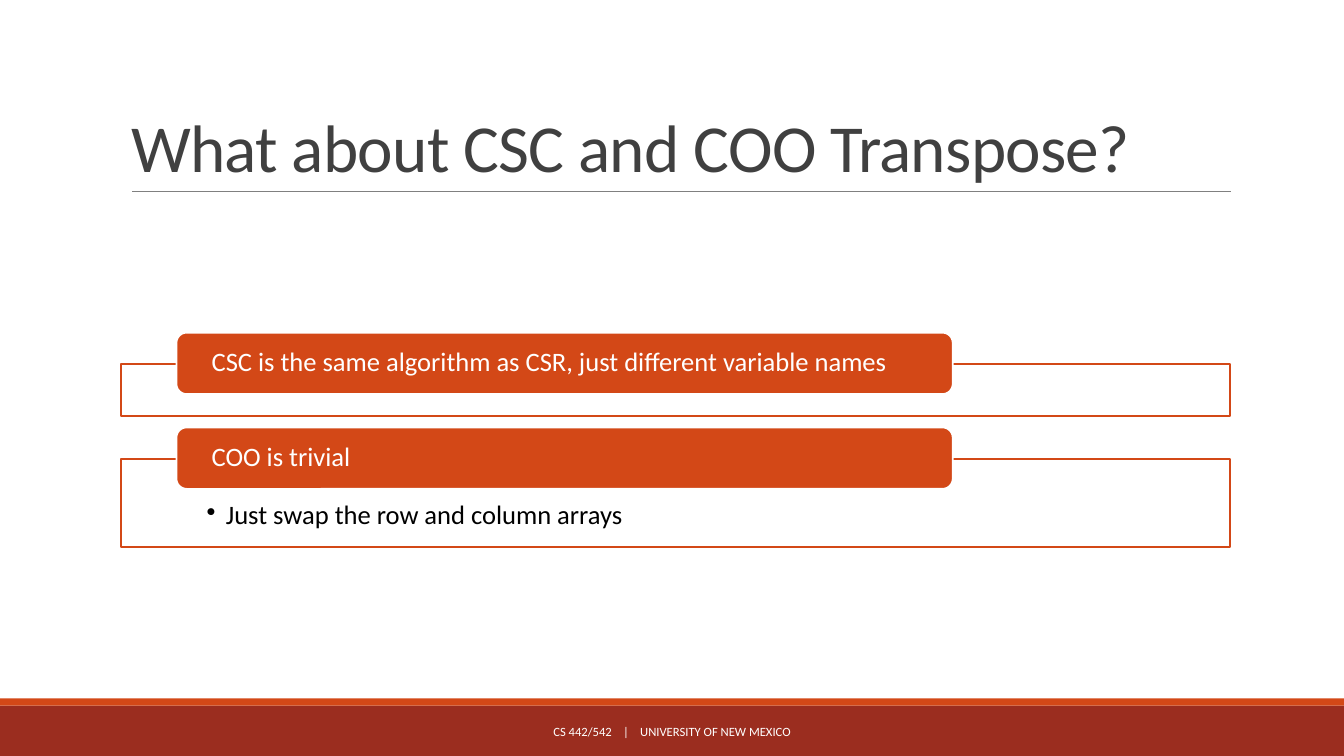
from pptx import Presentation
from pptx import util as u
from pptx.dml.color import RGBColor
from pptx.enum import shapes, text
from pptx.oxml import parse_xml
from pptx.oxml.ns import nsdecls, qn

PX = 9144
HUES = {"rust": "D34817", "brick": "9B2D1F", "rule": "808080",
        "title": "404040", "white": "FFFFFF", "black": "000000"}
ITEMS = [
    ("CSC is the same algorithm as CSR, just different variable names", None, 361, 52),
    ("COO is trivial", "Just swap the row and column arrays", 455, 88),
]


def px(n):
    """Turn px into EMU."""
    return u.Emu(n * PX)


def hue(name):
    """Look up a colour."""
    return RGBColor.from_string(HUES[name])


def block(slide, kind, box, fill, line=None):
    """Draw a filled shape in the box."""
    shape = slide.shapes.add_shape(kind, *map(px, box))
    shape.shadow.inherit = False
    shape.fill.solid()
    shape.fill.fore_color.rgb = hue(fill)
    if line:
        shape.line.color.rgb = hue(line)
        shape.line.width = u.Pt(1.25)
    else:
        shape.line.fill.background()
    return shape


def inset(frame, left, top, right, base, anchor):
    """Set the margins and anchor of a text frame."""
    frame.word_wrap = True
    frame.margin_left, frame.margin_top = px(left), px(top)
    frame.margin_right, frame.margin_bottom = px(right), px(base)
    frame.vertical_anchor = anchor


def style(para, size, color, align=text.PP_ALIGN.LEFT, lead=1.0):
    """Format a paragraph and its runs."""
    para.alignment = align
    para.line_spacing = lead
    for run in para.runs:
        run.font.name = "Calibri"
        run.font.size = u.Pt(size)
        run.font.color.rgb = hue(color)


def track(run, pts):
    """Set the letter spacing of a run."""
    run.font._element.set("spc", str(int(pts * 100)))


def head(slide, box):
    """Place the title and the rule below it."""
    x, y, w, h = box
    title = slide.shapes.title
    title.left, title.top, title.width, title.height = map(px, box)
    frame = title.text_frame
    frame.text = "What about CSC and COO Transpose?"
    frame.auto_size = text.MSO_AUTO_SIZE.NONE
    inset(frame, 10, 5, 10, 5, text.MSO_ANCHOR.BOTTOM)
    style(frame.paragraphs[0], 48, "title", lead=0.85)
    track(frame.paragraphs[0].runs[0], -0.5)
    rule = slide.shapes.add_connector(
        shapes.MSO_CONNECTOR.STRAIGHT, px(x + 11), px(y + h), px(x + w + 1), px(y + h))
    rule.line.color.rgb = hue("rule")
    rule.line.width = u.Pt(0.5)
    rule._element.spPr.append(parse_xml(f"<a:effectLst {nsdecls('a')}/>"))


def foot(slide, box):
    """Draw the two bands and the course line."""
    x, y, w, h = box
    rect = shapes.MSO_SHAPE.RECTANGLE
    block(slide, rect, (x, y + 7, w, h - 7), "brick")
    block(slide, rect, (x, y, w, 7), "rust")
    label = slide.shapes.add_textbox(px(x + 403), px(y + 13), px(527), px(40))
    frame = label.text_frame
    inset(frame, 10, 5, 10, 5, text.MSO_ANCHOR.MIDDLE)
    para = frame.paragraphs[0]
    for part in ("CS 442/542", " |", " UNIVERSITY OF NEW MEXICO"):
        para.add_run().text = part
    style(para, 9, "white", text.PP_ALIGN.CENTER)
    para.space_after = u.Pt(6)
    track(para.runs[1], 6)


def item(slide, box, name, note):
    """Draw a frame, its note and the label on its top edge."""
    x, y, w, h = box
    panel = block(slide, shapes.MSO_SHAPE.RECTANGLE, box, "white", "rust")
    tint = panel._element.spPr.find(qn("a:solidFill"))[0]
    tint.append(parse_xml(f'<a:alpha {nsdecls("a")} val="90000"/>'))
    if note:
        frame = panel.text_frame
        frame.text = note
        inset(frame, 85, 43, 85, 15, text.MSO_ANCHOR.TOP)
        para = frame.paragraphs[0]
        para.level = 1
        style(para, 19, "black", lead=0.9)
        props = para._p.get_or_add_pPr()
        props.set("marL", str(px(19)))
        props.set("indent", str(px(-19)))
        props.append(parse_xml(f'<a:buChar {nsdecls("a")} char="•"/>'))
    label = block(slide, shapes.MSO_SHAPE.ROUNDED_RECTANGLE,
                  (x + 55, y - 31, w * 7 // 10, 61), "rust", "white")
    frame = label.text_frame
    frame.text = name
    inset(frame, 32, 3, 32, 3, text.MSO_ANCHOR.MIDDLE)
    style(frame.paragraphs[0], 19, "white", lead=0.9)


def main():
    """Build and save the slide."""
    deck = Presentation()
    deck.slide_width, deck.slide_height = px(1333), px(750)
    slide = deck.slides.add_slide(deck.slide_layouts[5])
    foot(slide, (0, 693, 1333, 57))
    head(slide, (120, 31, 1100, 159))
    for name, note, top, high in ITEMS:
        item(slide, (120, top, 1100, high), name, note)
    deck.save("out.pptx")


if __name__ == "__main__":
    main()
